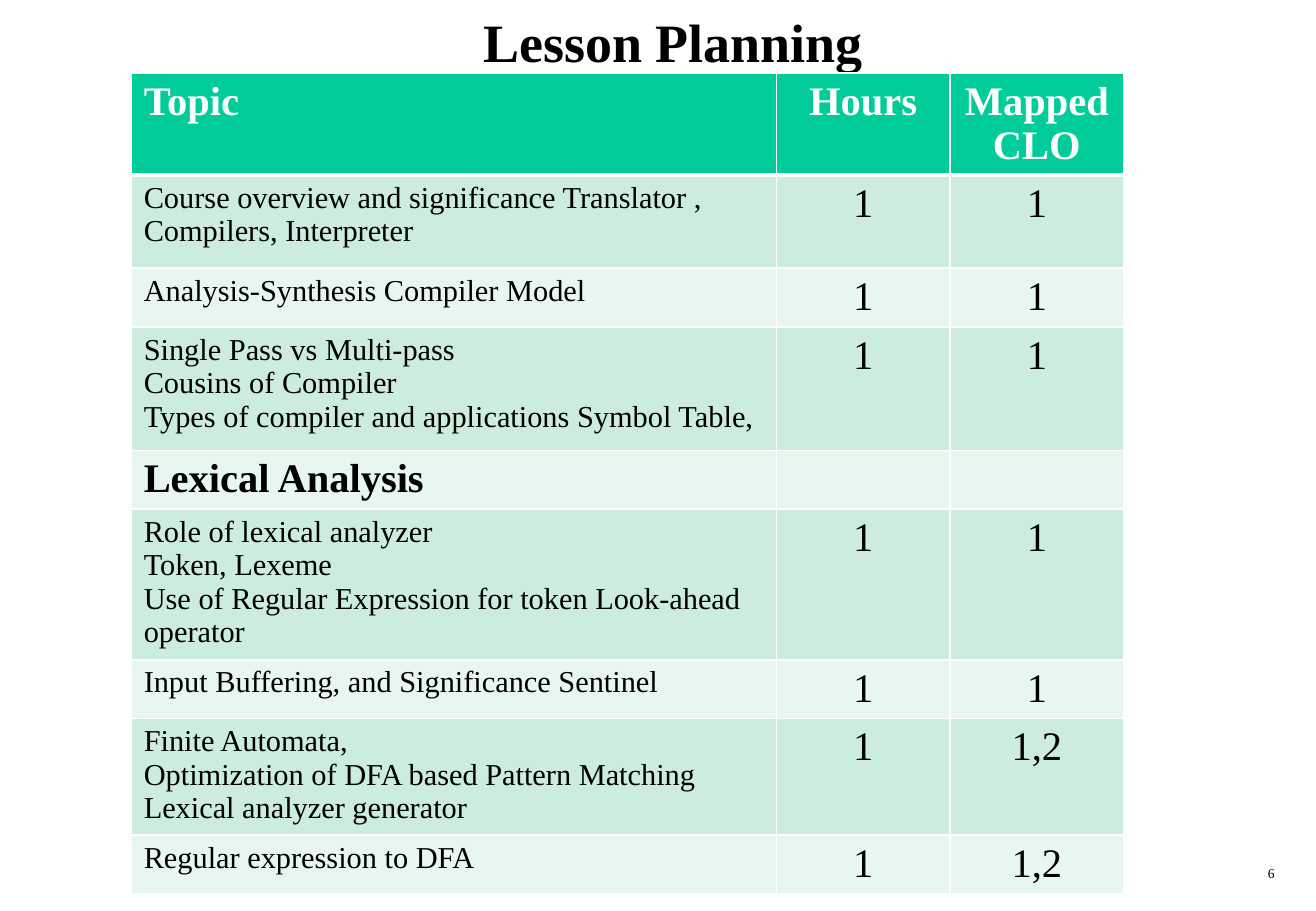
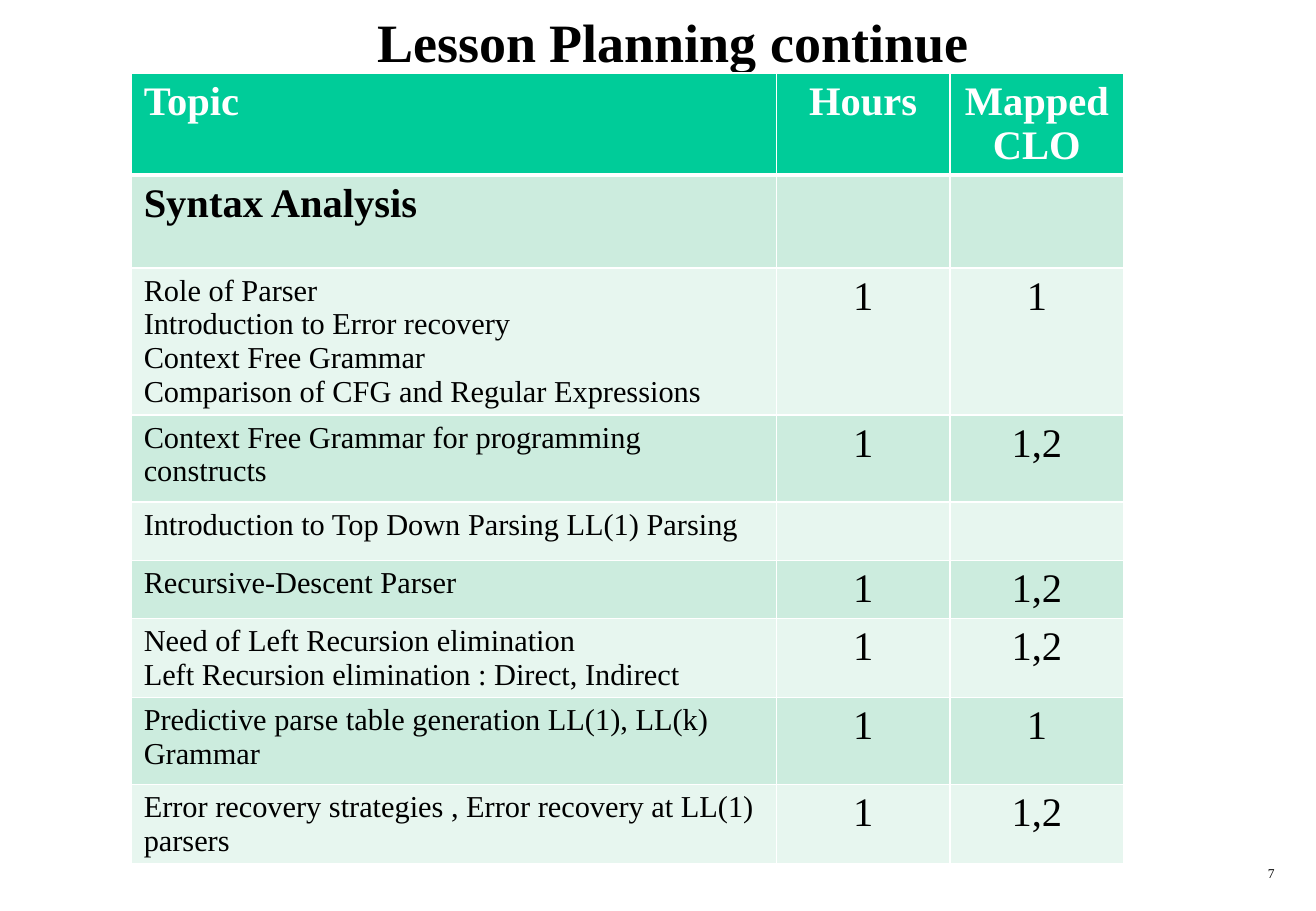
from dataclasses import dataclass
from pptx import Presentation, util as u
from pptx.dml.color import RGBColor
from pptx.enum import text as t
from pptx.oxml import parse_xml
from pptx.oxml.ns import nsdecls

COLS, ROWS = 130, 90  # slide grid, twelve units to the inch
LEFT, MID, RIGHT = t.PP_ALIGN.LEFT, t.PP_ALIGN.CENTER, t.PP_ALIGN.RIGHT


@dataclass(frozen=True)
class Theme:
    font: str = "Times New Roman"
    ink: str = "000000"
    paper: str = "FFFFFF"
    head: str = "00CC99"
    bands: tuple = ("CCECDE", "E7F6EF")
    title: int = 32
    large: int = 24
    body: int = 18
    small: int = 8
    pitch: float = 1.107
    thin: int = 1
    thick: int = 3


THEME = Theme()
TITLE = (5, 0.8, 123, 6)
TABLE = (13, 7.2, 98)
NUMBER = (100, 85, 27.1, 3)
SHARES = (0.65, 0.175, 0.175)
HEADS = ("Topic", "Hours", "Mapped CLO")
HEAD_ROW = 10.1

# Each row: height, topic (one string per paragraph), hours, outcomes.
# A row without hours may be a section heading, marked by "#".
FIRST = [
    (9.2, ["Course overview and significance Translator , Compilers, Interpreter"], "1", "1"),
    (5.8, ["Analysis-Synthesis Compiler Model"], "1", "1"),
    (12.2, ["Single Pass vs Multi-pass\nCousins of Compiler\n"
            "Types of compiler and applications Symbol Table,"], "1", "1"),
    (5.8, ["#Lexical Analysis"], "", ""),
    (14.9, ["Role of lexical analyzer\nToken, Lexeme\n"
            "Use of Regular Expression for token Look-ahead operator"], "1", "1"),
    (5.8, ["Input Buffering, and Significance Sentinel"], "1", "1"),
    (11.5, ["Finite Automata,", "Optimization of DFA based Pattern Matching",
            "Lexical analyzer generator"], "1", "1,2"),
    (5.8, ["Regular expression to DFA"], "1", "1,2"),
]
SECOND = [
    (9.2, ["#Syntax Analysis"], "", ""),
    (14.5, ["Role of Parser\nIntroduction to Error recovery\nContext Free Grammar\n"
            "Comparison of CFG and Regular Expressions"], "1", "1"),
    (8.6, ["Context Free Grammar for programming constructs"], "1", "1,2"),
    (5.8, ["Introduction to Top Down Parsing LL(1) Parsing"], "", ""),
    (5.7, ["Recursive-Descent Parser"], "1", "1,2"),
    (7.8, ["Need of Left Recursion elimination\n"
           "Left Recursion elimination : Direct, Indirect"], "1", "1,2"),
    (8.6, ["Predictive parse table generation LL(1), LL(k) Grammar"], "1", "1"),
    (7.8, ["Error recovery strategies , Error recovery at LL(1) parsers"], "1", "1,2"),
]


def unit(n):
    return u.Inches(n / 12)


def write(frame, lines, size=THEME.body, color=THEME.ink, bold=False, align=LEFT):
    """Fill a text frame with one paragraph per line, at a fixed pitch."""
    frame.word_wrap = True
    for i, line in enumerate(lines):
        para = frame.paragraphs[0] if i == 0 else frame.add_paragraph()
        para.text = line
        para.alignment = align
        para.line_spacing = u.Pt(round(size * THEME.pitch, 1))
        for run in para.runs:
            font = run.font
            font.name, font.size, font.bold = THEME.font, u.Pt(size), bold
            font.color.rgb = RGBColor.from_string(color)


def label(slide, box, words, **style):
    frame = slide.shapes.add_textbox(*map(unit, box)).text_frame
    write(frame, [words], **style)


def paint(cell, fill, base):
    """Give a cell white borders, with its own bottom width, and a fill."""
    props = cell._tc.get_or_add_tcPr()
    for side in "LRTB":
        wide = base if side == "B" else THEME.thin
        props.append(parse_xml(
            f'<a:ln{side} {nsdecls("a")} w="{u.Pt(wide)}"><a:solidFill>'
            f'<a:srgbClr val="{THEME.paper}"/></a:solidFill></a:ln{side}>'))
    cell.fill.solid()
    cell.fill.fore_color.rgb = RGBColor.from_string(fill)


def plan(slide, box, rows):
    """Draw the table of topics with its heading row."""
    left, top, width = box
    highs = [HEAD_ROW] + [row[0] for row in rows]
    grid = slide.shapes.add_table(
        len(highs), len(SHARES), *map(unit, (left, top, width, sum(highs)))).table
    for col, share in zip(grid.columns, SHARES):
        col.width = unit(width * share)
    for row, high in zip(grid.rows, highs):
        row.height = unit(high)

    for c, head in enumerate(HEADS):
        cell = grid.cell(0, c)
        paint(cell, THEME.head, THEME.thick)
        write(cell.text_frame, [head], size=THEME.large, color=THEME.paper,
              bold=True, align=MID if c else LEFT)
    for r, (_, topic, *marks) in enumerate(rows, 1):
        for c in range(len(SHARES)):
            paint(grid.cell(r, c), THEME.bands[(r - 1) % 2], THEME.thin)
        part = topic[0].startswith("#")
        write(grid.cell(r, 0).text_frame, [line.lstrip("#") for line in topic],
              size=THEME.large if part else THEME.body, bold=part)
        for c, mark in enumerate(marks, 1):
            write(grid.cell(r, c).text_frame, [mark], size=THEME.large, align=MID)


def lesson(deck, title, rows, number):
    slide = deck.slides.add_slide(deck.slide_layouts[6])
    label(slide, TITLE, title, size=THEME.title, bold=True, align=MID)
    plan(slide, TABLE, rows)
    label(slide, NUMBER, str(number), size=THEME.small, align=RIGHT)


def main():
    deck = Presentation()
    deck.slide_width, deck.slide_height = unit(COLS), unit(ROWS)
    lesson(deck, "Lesson Planning", FIRST, 6)
    lesson(deck, "Lesson Planning continue", SECOND, 7)
    deck.save("out.pptx")


if __name__ == "__main__":
    main()
